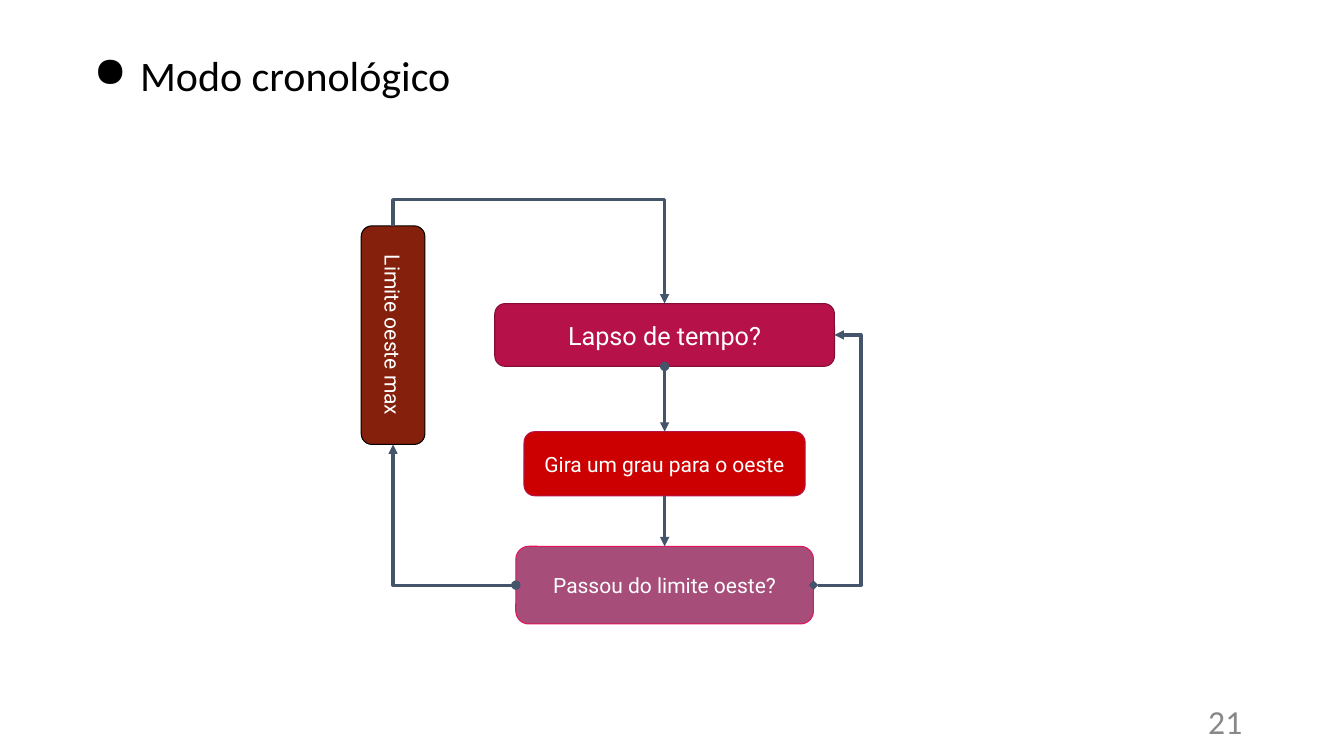
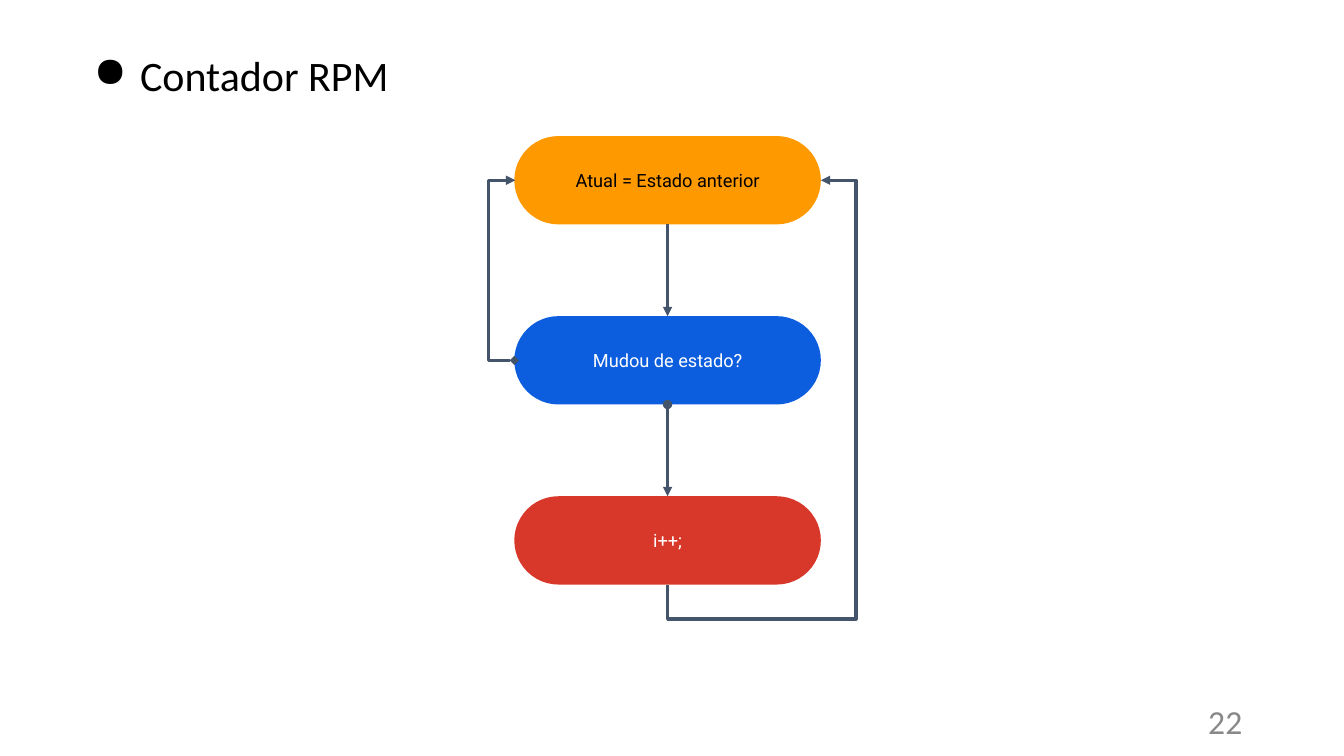
import dataclasses

import pptx
import pptx.dml.color
import pptx.enum.shapes
import pptx.enum.text
import pptx.oxml
import pptx.oxml.ns
import pptx.util

INCH = pptx.util.Inches
ALIGN = pptx.enum.text.PP_ALIGN
ANCHOR = pptx.enum.text.MSO_ANCHOR
CONNECTOR = pptx.enum.shapes.MSO_CONNECTOR
ROUNDED = pptx.enum.shapes.MSO_SHAPE.ROUNDED_RECTANGLE
TOP, LEFT, BOTTOM, RIGHT = range(4)


@dataclasses.dataclass(frozen=True)
class Theme:
    black: str = "000000"
    white: str = "FFFFFF"
    gray: str = "888888"
    arrow: str = "44546A"
    crimson: str = "B61249"
    crimson_edge: str = "840D35"
    red: str = "CC0000"
    mauve: str = "A64D79"
    mauve_edge: str = "E1165A"
    brown: str = "85200C"
    orange: str = "FF9900"
    blue: str = "0D5DDF"
    brick: str = "D83829"
    text_font: str = "Calibri"
    node_font: str = "Roboto"
    title_size: int = 30
    number_size: int = 24
    lead_size: int = 18
    step_size: int = 15
    pill_size: int = 13
    edge_width: float = 0.75
    arrow_width: float = 2.25


THEME = Theme()


@dataclasses.dataclass(frozen=True)
class Box:
    left: float
    top: float
    width: float
    height: float

    def col(self, percent):
        return INCH(self.left + self.width * percent / 100)

    def row(self, percent):
        return INCH(self.top + self.height * percent / 100)

    def wide(self, percent):
        return INCH(self.width * percent / 100)

    def high(self, percent):
        return INCH(self.height * percent / 100)


SLIDE = Box(0, 0, 13.33, 7.5)
CHRONO_AREA = Box(3.57, 1.98, 4.97, 4.21)
COUNTER_AREA = Box(4.84, 1.35, 3.65, 4.79)


def rgb(color):
    return pptx.dml.color.RGBColor.from_string(color)


def add_xml(parent, tag, **attributes):
    child = pptx.oxml.parse_xml(f"<a:{tag} {pptx.oxml.ns.nsdecls('a')}/>")
    for key, value in attributes.items():
        child.set(key, str(value))
    parent.append(child)
    return child


def write(shape, text, *, size, color, font, align=ALIGN.LEFT, anchor=ANCHOR.TOP,
          inset=(0.1, 0.1), bullet=None):
    frame = shape.text_frame
    frame.word_wrap = True
    frame.vertical_anchor = anchor
    frame.margin_left = frame.margin_right = INCH(inset[0])
    frame.margin_top = frame.margin_bottom = INCH(inset[1])
    paragraph = frame.paragraphs[0]
    paragraph.alignment = align
    run = paragraph.add_run()
    run.text = text
    run.font.size = pptx.util.Pt(size)
    run.font.name = font
    run.font.color.rgb = rgb(color)
    if bullet:
        props = paragraph._p.get_or_add_pPr()
        props.set("marL", str(INCH(0.5)))
        props.set("indent", str(INCH(-0.46)))
        add_xml(add_xml(props, "buClr"), "srgbClr", val=color)
        add_xml(props, "buChar", char=bullet)


def add_node(slide, area, text, *, center, top, wide, high, fill, size,
             edge=None, color=THEME.white, corner=0.167, turned=False):
    width, height = area.wide(wide), area.high(high)
    middle_x, middle_y = area.col(center), area.row(top) + height // 2
    if turned:
        width, height = height, width
    node = slide.shapes.add_shape(ROUNDED, middle_x - width // 2,
                                  middle_y - height // 2, width, height)
    node.rotation = 90 if turned else 0
    node.adjustments[0] = corner
    node.shadow.inherit = False
    node.fill.solid()
    node.fill.fore_color.rgb = rgb(fill)
    if edge:
        node.line.color.rgb = rgb(edge)
        node.line.width = pptx.util.Pt(THEME.edge_width)
    else:
        node.line.fill.background()
    write(node, text, size=size, color=color, font=THEME.node_font,
          align=ALIGN.CENTER, anchor=ANCHOR.MIDDLE, inset=(0.13, 0.13))
    return node


def site(node, side):
    half_w, half_h = node.width // 2, node.height // 2
    dx, dy = [(0, -half_h), (-half_w, 0), (0, half_h), (half_w, 0)][side]
    if node.rotation == 90:
        dx, dy = -dy, dx
    return node.left + half_w + dx, node.top + half_h + dy, dy == 0


def join(slide, kind, start, start_side, end, end_side, head):
    link = slide.shapes.add_connector(kind, 0, 0, 0, 0)
    link.begin_connect(start, start_side)
    link.end_connect(end, end_side)
    link.line.color.rgb = rgb(THEME.arrow)
    link.line.width = pptx.util.Pt(THEME.arrow_width)
    line = link.line._get_or_add_ln()
    if head:
        add_xml(line, "headEnd", type=head)
    add_xml(line, "tailEnd", type="triangle")
    add_xml(link._element.spPr, "effectLst")
    return link


def drop(slide, upper, lower, head=None):
    join(slide, CONNECTOR.STRAIGHT, upper, BOTTOM, lower, TOP, head)


def detour(slide, start, start_side, end, end_side, lanes=(), head=None):
    link = join(slide, CONNECTOR.ELBOW, start, start_side, end, end_side, head)
    x0, y0, sideways = site(start, start_side)
    x1, y1, _ = site(end, end_side)
    if x0 == x1:
        x1 += INCH(0.01)

    def local(x, y):
        return (x0 - x, y0 - y) if sideways else (y0 - y, x - x0)

    along, across = local(x1, y1)
    width, height = abs(along), abs(across)
    link.left, link.top = (x0 + x1 - width) // 2, (y0 + y1 - height) // 2
    link.width, link.height = width, height
    props = link._element.spPr
    frame = props.find(pptx.oxml.ns.qn("a:xfrm"))
    frame.set("rot", str((180 if sideways else 270) * 60000))
    frame.set("flipH", str(int(along < 0)))
    frame.set("flipV", str(int(across < 0)))
    shape = props.find(pptx.oxml.ns.qn("a:prstGeom"))
    shape.set("prst", f"bentConnector{len(lanes) + 2}")
    for child in list(shape):
        shape.remove(child)
    guides = add_xml(shape, "avLst")
    for index, lane in enumerate(lanes):
        on_x = sideways == (index == 0)
        offset = local(lane, y0)[index] if on_x else local(x0, lane)[index]
        share = round(offset / (along, across)[index] * 100000)
        add_xml(guides, "gd", name=f"adj{index + 1}", fmla=f"val {share}")


def add_page(deck, title, number):
    slide = deck.slides.add_slide(deck.slide_layouts[6])
    heading = slide.shapes.add_textbox(SLIDE.col(5.93), SLIDE.row(5.2),
                                       SLIDE.wide(72.7), SLIDE.high(10.67))
    write(heading, title, size=THEME.title_size, color=THEME.black,
          font=THEME.text_font, bullet="●")
    footer = slide.shapes.add_textbox(SLIDE.col(70.67), SLIDE.row(92.67),
                                      SLIDE.wide(22.5), SLIDE.high(5.33))
    write(footer, str(number), size=THEME.number_size, color=THEME.gray,
          font=THEME.text_font, align=ALIGN.RIGHT, anchor=ANCHOR.MIDDLE,
          inset=(0.1, 0.05))
    return slide


def draw_chronological_mode(slide, area):
    axis = 60.8
    lapse = add_node(slide, area, "Lapso de tempo?", center=axis, top=24.5,
                     wide=67.8, high=14.8, fill=THEME.crimson,
                     edge=THEME.crimson_edge, size=THEME.lead_size)
    turn = add_node(slide, area, "Gira um grau para o oeste", center=axis, top=54.7,
                    wide=56.1, high=15.1, fill=THEME.red, edge=THEME.crimson,
                    size=THEME.step_size)
    check = add_node(slide, area, "Passou do limite oeste?", center=axis, top=81.7,
                     wide=59.4, high=18.3, fill=THEME.mauve, edge=THEME.mauve_edge,
                     size=THEME.step_size)
    limit = add_node(slide, area, "Limite oeste max", center=6.6, top=6.2,
                     wide=12.7, high=51.5, fill=THEME.brown, edge=THEME.black,
                     size=THEME.step_size, turned=True)
    drop(slide, lapse, turn, head="oval")
    drop(slide, turn, check)
    detour(slide, check, RIGHT, lapse, RIGHT, [area.col(100)], head="diamond")
    detour(slide, check, LEFT, limit, RIGHT, head="oval")
    detour(slide, limit, LEFT, lapse, TOP, [area.row(0)])


def draw_rpm_counter(slide, area):
    states = [("Atual = Estado anterior", THEME.orange, THEME.black),
              ("Mudou de estado?", THEME.blue, THEME.white),
              ("i++;", THEME.brick, THEME.white)]
    current, changed, count = [
        add_node(slide, area, text, center=48.8, top=37.3 * index, wide=83.3,
                 high=18.3, fill=fill, color=color, size=THEME.pill_size, corner=0.5)
        for index, (text, fill, color) in enumerate(states)]
    detour(slide, count, BOTTOM, current, RIGHT, [area.row(100), area.col(100)])
    drop(slide, current, changed)
    drop(slide, changed, count, head="oval")
    detour(slide, changed, LEFT, current, LEFT, [area.col(0)], head="diamond")


def main():
    deck = pptx.Presentation()
    deck.slide_width, deck.slide_height = INCH(SLIDE.width), INCH(SLIDE.height)
    draw_chronological_mode(add_page(deck, "Modo cronológico", 21), CHRONO_AREA)
    draw_rpm_counter(add_page(deck, "Contador RPM", 22), COUNTER_AREA)
    deck.save("out.pptx")


if __name__ == "__main__":
    main()
